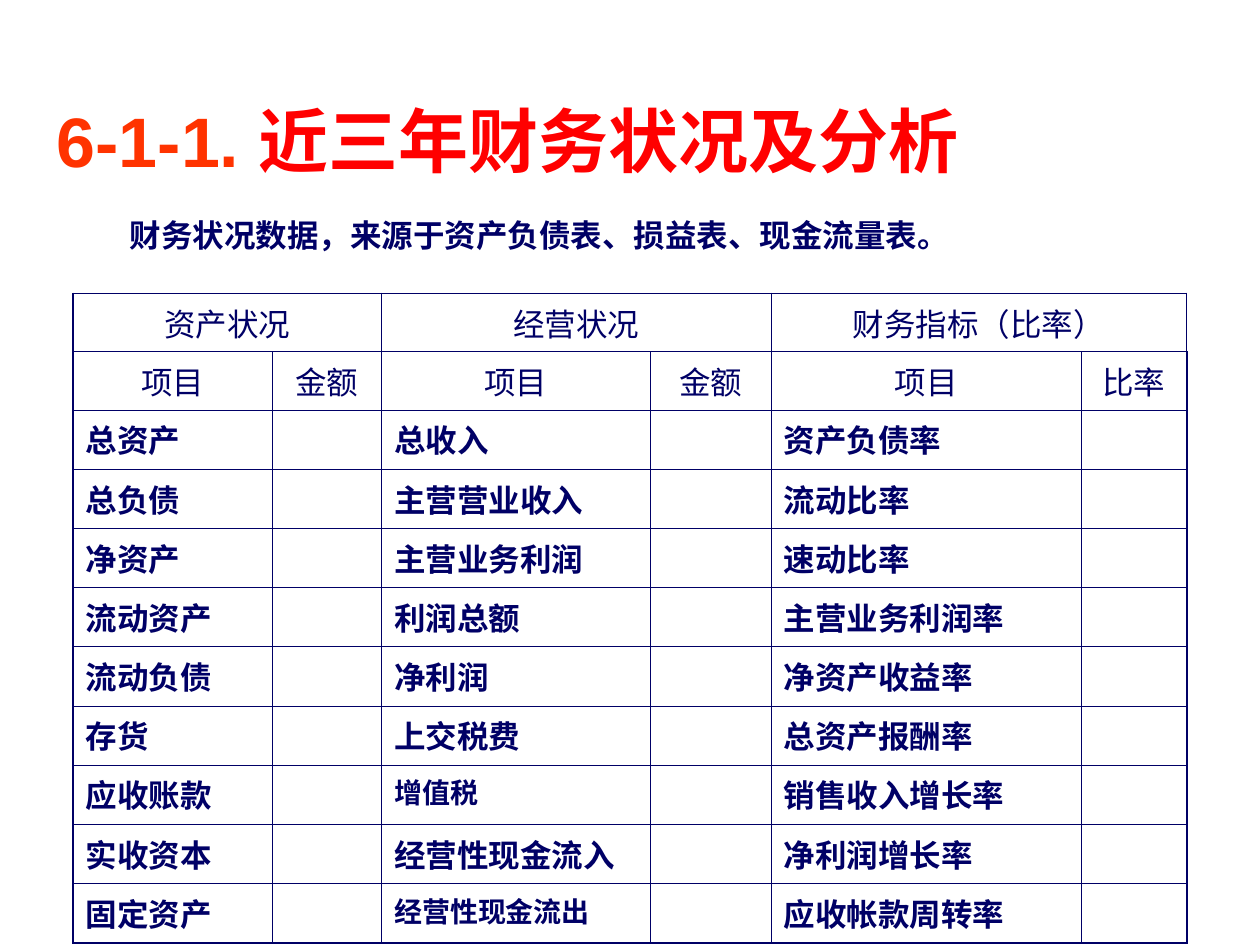
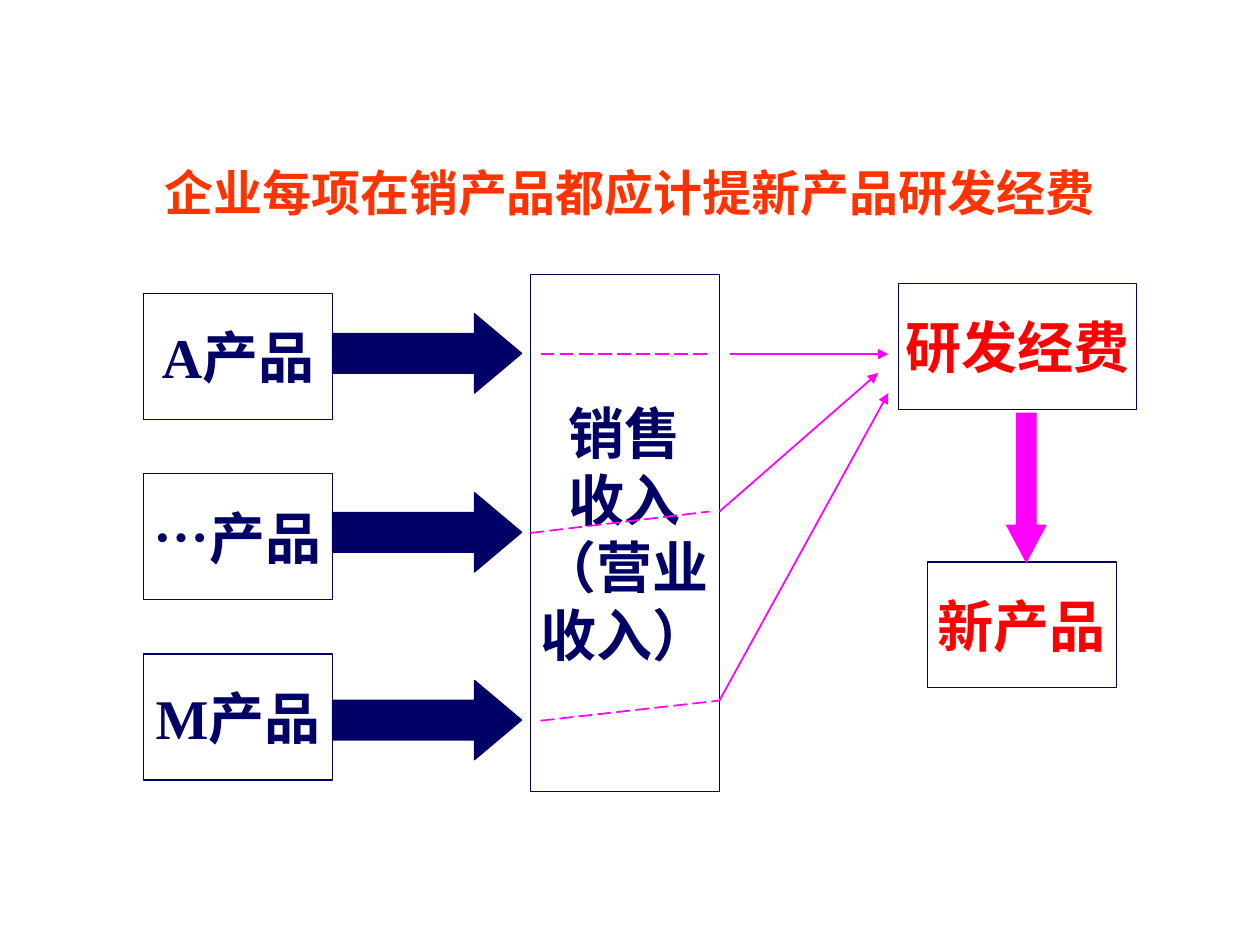
"""Build two slides: a finance status table and a research funding flow."""
from typing import NamedTuple

from lxml import etree
from pptx import Presentation
from pptx.dml.color import RGBColor
from pptx.enum.dml import MSO_LINE
from pptx.enum.shapes import MSO_CONNECTOR, MSO_SHAPE
from pptx.enum.text import MSO_ANCHOR, MSO_AUTO_SIZE, PP_ALIGN
from pptx.oxml.ns import qn
from pptx.util import Inches, Pt

LEFT, CENTER = PP_ALIGN.LEFT, PP_ALIGN.CENTER
TOP, MIDDLE = MSO_ANCHOR.TOP, MSO_ANCHOR.MIDDLE
RECT = MSO_SHAPE.RECTANGLE
RIGHT, DOWN = MSO_SHAPE.RIGHT_ARROW, MSO_SHAPE.DOWN_ARROW
STRAIGHT = MSO_CONNECTOR.STRAIGHT
DASH = MSO_LINE.LONG_DASH
FIXED = MSO_AUTO_SIZE.NONE

COLORS = {"navy": "000066", "red": "FF0000", "orange": "FF3300", "pink": "FF00FF"}
SERIF, SANS, HAN = "Times New Roman", "Arial", "Noto Sans CJK SC"
TITLE_ONLY = 5

COLS = (1.58, 0.87, 2.13, 0.96, 2.46, 0.84)
GROUPS = ("资产状况", "经营状况", "财务指标（比率）")
HEADS = ("项目", "金额", "项目", "金额", "项目", "比率")
ITEMS = (
    ("总资产", "总收入", "资产负债率"),
    ("总负债", "主营营业收入", "流动比率"),
    ("净资产", "主营业务利润", "速动比率"),
    ("流动资产", "利润总额", "主营业务利润率"),
    ("流动负债", "净利润", "净资产收益率"),
    ("存货", "上交税费", "总资产报酬率"),
    ("应收账款", "增值税", "销售收入增长率"),
    ("实收资本", "经营性现金流入", "净利润增长率"),
    ("固定资产", "经营性现金流出", "应收帐款周转率"),
)
SMALL = {"增值税", "经营性现金流出"}
THIN, THICK = 0.45, 1.08


class Area(NamedTuple):
    """Place and size in inches."""
    left: float
    top: float
    width: float
    height: float


class Box(NamedTuple):
    """An outlined box with a label."""
    text: str
    area: Area
    color: str = "navy"


class Arrow(NamedTuple):
    """A solid block arrow."""
    kind: int
    area: Area
    color: str
    head: float


class Link(NamedTuple):
    """A thin line, dashed inside the income box or tipped outside it."""
    start: tuple
    end: tuple
    dashed: bool


BOX_W, BOX_H = 1.5, 1
INCOME = Box("销售\n收入\n（营业\n收入）", Area(4.21, 2.18, BOX_W, 4.1))
PRODUCTS = [Box(name, Area(1.14, 2.33 + 1.43 * i, BOX_W, BOX_H))
            for i, name in enumerate(("A产品", "…产品", "M产品"))]
GOALS = [
    Box("新产品", Area(7.36, 4.46, BOX_W, BOX_H), "red"),
    Box("研发经费", Area(7.13, 2.25, 1.89, BOX_H), "red"),
]
ARROWS = [Arrow(RIGHT, Area(2.64, top, BOX_W, 0.63), "navy", 0.594)
          for top in (2.49, 3.91, 5.4)]
DROP = Arrow(DOWN, Area(7.99, 3.28, 0.31, 1.18), "pink", 0.938)
MID = Link((4.21, 4.23), (5.63, 4.06), True)
LINKS = (
    Link((5.79, 2.81), (7.05, 2.81), False),
    Link((5.71, 4.06), (6.97, 2.96), False),
    Link((5.71, 5.56), (7.05, 3.12), False),
    Link((4.29, 2.81), (5.63, 2.81), True),
    MID,
    Link((4.29, 5.72), (5.71, 5.56), True),
)


def rgb(name: str) -> RGBColor:
    """Look up a named colour."""
    return RGBColor.from_string(COLORS[name])


def spot(area: Area) -> list:
    """Turn an area into lengths."""
    return [Inches(side) for side in area]


def add_run(par, text: str, *, color="navy", size=18, font=SERIF, bold=True) -> None:
    """Add one formatted run to a paragraph."""
    run = par.add_run()
    run.text = text
    run.font.size, run.font.bold, run.font.name = Pt(size), bold, font
    run.font.color.rgb = rgb(color)
    props = run.font._element
    props.set("lang", "zh-CN")
    etree.SubElement(props, qn("a:ea")).set("typeface", HAN)


def write(frame, text: str, *, align=LEFT, anchor=TOP, wrap=True,
          spacing=1.0, **style) -> None:
    """Fill a text frame, one paragraph per line of text."""
    frame.word_wrap, frame.auto_size = wrap, FIXED
    frame.vertical_anchor = anchor
    for i, line in enumerate(text.split("\n")):
        par = frame.add_paragraph() if i else frame.paragraphs[0]
        par.alignment, par.line_spacing = align, spacing
        add_run(par, line, **style)


def add_slide(deck, area: Area, text: str, **style):
    """Add a title-only slide and set its title."""
    slide = deck.slides.add_slide(deck.slide_layouts[TITLE_ONLY])
    title = slide.shapes.title
    title.left, title.top, title.width, title.height = spot(area)
    write(title.text_frame, text, color="orange", **style)
    return slide


def edge_cell(cell, row: int, col: int, rows: int) -> None:
    """Clear a cell's fill and draw its borders, thick on the outside."""
    cell.fill.background()
    outer = {"L": col == 0, "R": col == len(COLS) - 1,
             "T": row == 0, "B": row == rows - 1}
    props = cell._tc.get_or_add_tcPr()
    for i, (side, thick) in enumerate(outer.items()):
        line = etree.Element(qn(f"a:ln{side}"), w=str(Pt(THICK if thick else THIN)))
        fill = etree.SubElement(line, qn("a:solidFill"))
        etree.SubElement(fill, qn("a:srgbClr")).set("val", COLORS["navy"])
        props.insert(i, line)


def add_grid(slide) -> None:
    """Draw the finance table."""
    heights = [0.46] * 2 + [0.47] * len(ITEMS)
    area = Area(0.58, 2.33, sum(COLS), sum(heights))
    table = slide.shapes.add_table(len(heights), len(COLS), *spot(area)).table
    table.first_row = table.horz_banding = False
    for col, width in zip(table.columns, COLS):
        col.width = Inches(width)
    for r, height in enumerate(heights):
        table.rows[r].height = Inches(height)
        for c in range(len(COLS)):
            edge_cell(table.cell(r, c), r, c, len(heights))
    for i, name in enumerate(GROUPS):
        cell = table.cell(0, 2 * i)
        cell.merge(table.cell(0, 2 * i + 1))
        write(cell.text_frame, name, align=CENTER, bold=False)
    for c, name in enumerate(HEADS):
        write(table.cell(1, c).text_frame, name, align=CENTER, bold=False)
    for r, names in enumerate(ITEMS, 2):
        for i, name in enumerate(names):
            write(table.cell(r, 2 * i).text_frame, name,
                  size=16 if name in SMALL else 18)


def add_box(slide, box: Box):
    """Draw an outlined box with its label."""
    shape = slide.shapes.add_shape(RECT, *spot(box.area))
    shape.shadow.inherit = False
    shape.fill.background()
    shape.line.color.rgb, shape.line.width = rgb("navy"), Pt(0.75)
    write(shape.text_frame, box.text, align=CENTER, anchor=MIDDLE,
          wrap=False, color=box.color, size=32)
    return shape


def add_arrow(slide, arrow: Arrow) -> None:
    """Draw a block arrow."""
    shape = slide.shapes.add_shape(arrow.kind, *spot(arrow.area))
    shape.shadow.inherit = False
    shape.adjustments[0], shape.adjustments[1] = 0.5, arrow.head
    shape.fill.solid()
    shape.fill.fore_color.rgb = shape.line.color.rgb = rgb(arrow.color)
    shape.line.width = Pt(0.75)


def add_link(slide, link: Link):
    """Draw a dashed line or a thin arrow."""
    ends = [Inches(part) for part in link.start + link.end]
    line = slide.shapes.add_connector(STRAIGHT, *ends)
    line.line.color.rgb, line.line.width = rgb("pink"), Pt(1)
    if link.dashed:
        line.line.dash_style = DASH
    else:
        tip = etree.SubElement(line.line._get_or_add_ln(), qn("a:tailEnd"))
        tip.set("type", "triangle")
    etree.SubElement(line._element.spPr, qn("a:effectLst"))
    return line


def finance(deck) -> None:
    """Build the finance status slide."""
    slide = add_slide(deck, Area(0.35, 0.67, 9.65, 0.88), "6-1-1. ",
                      anchor=MIDDLE, size=40, font=SANS)
    add_run(slide.shapes.title.text_frame.paragraphs[0], "近三年财务状况及分析",
            color="red", size=40, font=SANS)
    note = slide.shapes.add_textbox(*spot(Area(0.43, 1.7, 9.29, 0.47)))
    write(note.text_frame, "财务状况数据，来源于资产负债表、损益表、现金流量表。", spacing=0.9)
    note.text_frame.paragraphs[0]._p.get_or_add_pPr().set("marL", str(Inches(0.5)))
    add_grid(slide)


def funding(deck) -> None:
    """Build the research funding slide."""
    slide = add_slide(deck, Area(0.98, 1.29, 8.03, 0.57),
                      "企业每项在销产品都应计提新产品研发经费",
                      align=CENTER, size=28, font=HAN, spacing=0.9)
    for box in PRODUCTS + GOALS:
        add_box(slide, box)
    for arrow in ARROWS:
        add_arrow(slide, arrow)
    income = add_box(slide, INCOME)
    for link in LINKS:
        line = add_link(slide, link)
        if link is MID:
            line.begin_connect(income, 1)
    add_arrow(slide, DROP)


def main() -> None:
    """Build and save the deck."""
    deck = Presentation()
    deck.slide_width, deck.slide_height = Inches(10), Inches(7.5)
    finance(deck)
    funding(deck)
    deck.save("out.pptx")


if __name__ == "__main__":
    main()
